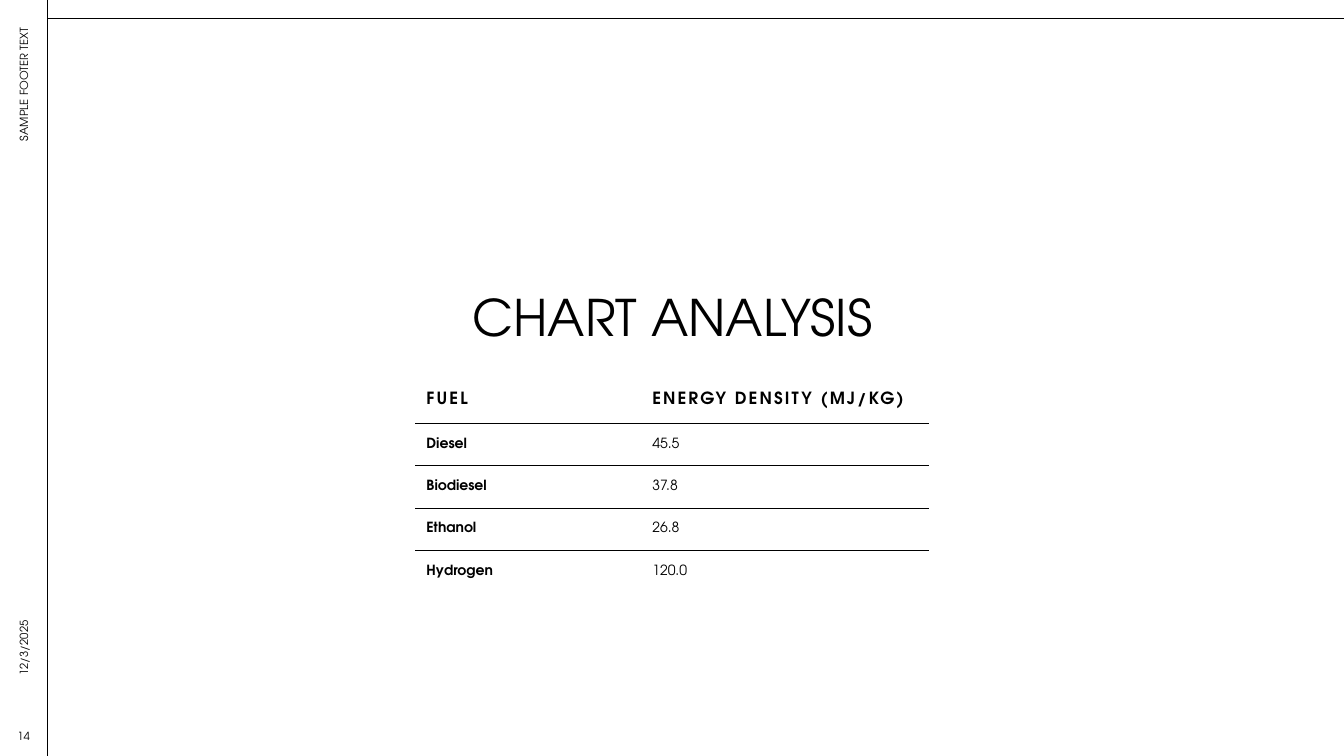
from lxml import etree
from pptx import Presentation
from pptx.dml.color import RGBColor
from pptx.enum.shapes import MSO_CONNECTOR
from pptx.enum.text import MSO_ANCHOR, PP_ALIGN
from pptx.oxml.ns import qn
from pptx.util import Inches, Pt

BLACK = RGBColor(0, 0, 0)
FONT = "TeX Gyre Adventor"
RULE_WIDTH = Pt(0.5)
STRAIGHT = MSO_CONNECTOR.STRAIGHT
MIDDLE, BOTTOM = MSO_ANCHOR.MIDDLE, MSO_ANCHOR.BOTTOM
LEFT, CENTER, RIGHT = PP_ALIGN.LEFT, PP_ALIGN.CENTER, PP_ALIGN.RIGHT

SLIDE_WIDTH, SLIDE_HEIGHT = 13.33, 7.5
SIDEBAR_WIDTH = 0.47
TOP_RULE_Y = 0.18
COLUMN_WIDTHS = (2.24, 2.85)
HEADER_HEIGHT, ROW_HEIGHT = 0.46, 0.42
CELL_MARGIN = 0.11
FUELS = [
    ("FUEL", "ENERGY DENSITY (MJ/KG)"),
    ("Diesel", "45.5"),
    ("Biodiesel", "37.8"),
    ("Ethanol", "26.8"),
    ("Hydrogen", "120.0"),
]


def style_font(font, size, bold=False):
    font.name = FONT
    font.size = Pt(size)
    font.bold = bold
    font.color.rgb = BLACK


def add_rule(slide, x1, y1, x2, y2):
    rule = slide.shapes.add_connector(
        STRAIGHT, Inches(x1), Inches(y1), Inches(x2), Inches(y2))
    rule.line.color.rgb = BLACK
    rule.line.width = RULE_WIDTH
    etree.SubElement(rule._element.spPr, qn("a:effectLst"))


def add_label(slide, text, box, size, align, anchor=MIDDLE, rotation=0):
    label = slide.shapes.add_textbox(*(Inches(length) for length in box))
    label.rotation = rotation
    frame = label.text_frame
    frame.word_wrap = True
    frame.vertical_anchor = anchor
    paragraph = frame.paragraphs[0]
    paragraph.text = text
    paragraph.alignment = align
    style_font(paragraph.font, size)
    return paragraph


def set_borders(cell, ruled_sides):
    """Draw a black rule on the named sides (T, B) and clear the others."""
    properties = cell._tc.get_or_add_tcPr()
    for position, side in enumerate("LRTB"):
        border = etree.Element(qn(f"a:ln{side}"), w=str(RULE_WIDTH))
        if side in ruled_sides:
            fill = etree.SubElement(border, qn("a:solidFill"))
            etree.SubElement(fill, qn("a:srgbClr"), val=str(BLACK))
        else:
            etree.SubElement(border, qn("a:noFill"))
        properties.insert(position, border)


def fill_cell(cell, text, is_header, bold):
    cell.fill.background()
    cell.vertical_anchor = MIDDLE
    cell.margin_left = cell.margin_right = Inches(CELL_MARGIN)
    cell.margin_top = cell.margin_bottom = Inches(CELL_MARGIN)
    paragraph = cell.text_frame.paragraphs[0]
    paragraph.text = text
    style_font(paragraph.font, 12 if is_header else 10, bold)
    if is_header:
        paragraph.runs[0]._r.get_or_add_rPr().set("spc", "150")


def add_fuel_table(slide, left, top):
    height = HEADER_HEIGHT + ROW_HEIGHT * (len(FUELS) - 1)
    table = slide.shapes.add_table(
        len(FUELS), len(COLUMN_WIDTHS), Inches(left), Inches(top),
        Inches(sum(COLUMN_WIDTHS)), Inches(height)).table
    table.horz_banding = False
    for column, width in zip(table.columns, COLUMN_WIDTHS):
        column.width = Inches(width)
    last = len(FUELS) - 1
    for r, values in enumerate(FUELS):
        is_header = r == 0
        table.rows[r].height = Inches(HEADER_HEIGHT if is_header else ROW_HEIGHT)
        ruled_sides = ("" if is_header else "T") + ("" if r == last else "B")
        for c, value in enumerate(values):
            cell = table.cell(r, c)
            fill_cell(cell, value, is_header, bold=is_header or c == 0)
            set_borders(cell, ruled_sides)


def main():
    presentation = Presentation()
    presentation.slide_width = Inches(SLIDE_WIDTH)
    presentation.slide_height = Inches(SLIDE_HEIGHT)
    slide = presentation.slides.add_slide(presentation.slide_layouts[6])

    add_rule(slide, SIDEBAR_WIDTH, TOP_RULE_Y, SLIDE_WIDTH, TOP_RULE_Y)
    add_rule(slide, SIDEBAR_WIDTH, 0, SIDEBAR_WIDTH, SLIDE_HEIGHT)

    title = add_label(slide, "CHART ANALYSIS", (3.05, 2.33, 7.24, 1.17),
                      36, CENTER, BOTTOM)
    title.line_spacing = 0.9

    sidebar = [
        ("SAMPLE FOOTER TEXT", (-2.26, 2.44, 4.99, SIDEBAR_WIDTH), RIGHT, 270),
        ("12/3/2025", (-0.58, 5.75, 1.63, SIDEBAR_WIDTH), LEFT, 270),
        ("14", (0, 7.1, SIDEBAR_WIDTH, 0.4), CENTER, 0),
    ]
    for text, box, align, rotation in sidebar:
        paragraph = add_label(slide, text, box, 8, align, rotation=rotation)
        paragraph.space_after = Pt(6)

    add_fuel_table(slide, 4.12, 3.74)
    presentation.save("out.pptx")


if __name__ == "__main__":
    main()
